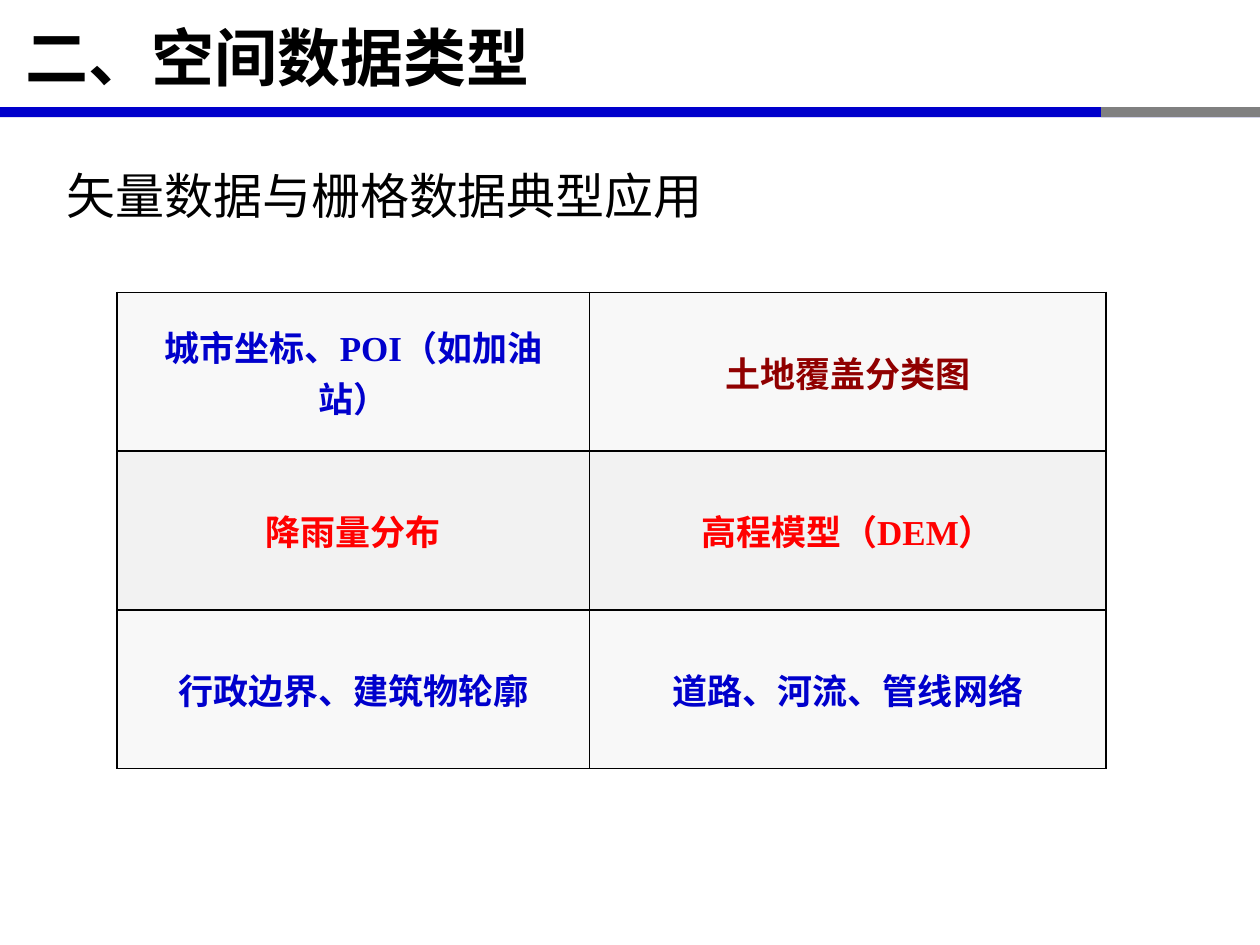
from lxml.etree import SubElement
from pptx import Presentation
from pptx.dml.color import RGBColor
from pptx.enum.shapes import MSO_SHAPE
from pptx.enum.text import MSO_ANCHOR, PP_ALIGN
from pptx.oxml.ns import qn
from pptx.util import Inches, Pt

COLORS = {
    "black": "000000",
    "blue": "0000CC",
    "gray": "808080",
    "red": "FF0000",
    "maroon": "900000",
    "light": "F8F8F8",
    "band": "F2F2F2",
}
CHINESE_FONT = "Noto Sans CJK SC"
LATIN_FONT = "Times New Roman"
APPLICATIONS = [
    [("城市坐标、POI（如加油站）", "blue"), ("土地覆盖分类图", "maroon")],
    [("降雨量分布", "red"), ("高程模型（DEM）", "red")],
    [("行政边界、建筑物轮廓", "blue"), ("道路、河流、管线网络", "blue")],
]


def color(name):
    return RGBColor.from_string(COLORS[name])


def write(text_frame, text, size, color_name, alignment, bold=False, latin=CHINESE_FONT):
    text_frame.text = text
    paragraph = text_frame.paragraphs[0]
    paragraph.alignment = alignment
    font = paragraph.runs[0].font
    font.size = Pt(size)
    font.bold = bold
    font.name = latin
    font.color.rgb = color(color_name)
    SubElement(font._element, qn("a:ea"), typeface=CHINESE_FONT)
    return paragraph


def place(shape, left, top, width, height):
    shape.left, shape.top = Inches(left), Inches(top)
    shape.width, shape.height = Inches(width), Inches(height)


def add_header(slide, left, top, width, height):
    gray_width = 1.26
    bar_height = 0.08
    bar_top = top + height - bar_height
    bars = [(left, width, "blue"), (left + width - gray_width, gray_width, "gray")]
    for bar_left, bar_width, color_name in bars:
        bar = slide.shapes.add_shape(
            MSO_SHAPE.RECTANGLE,
            Inches(bar_left), Inches(bar_top), Inches(bar_width), Inches(bar_height),
        )
        bar.shadow.inherit = False
        bar.fill.solid()
        bar.fill.fore_color.rgb = color(color_name)
        bar.line.fill.background()

    title = slide.shapes.title
    place(title, left, top, width - 0.14, height - 0.05)
    title.text_frame.vertical_anchor = MSO_ANCHOR.MIDDLE
    title.text_frame.margin_left = Inches(0.2)
    write(title.text_frame, "二、空间数据类型", 36, "black", PP_ALIGN.LEFT, bold=True)


def add_subtitle(slide, left, top, width, height):
    box = slide.shapes.add_textbox(
        Inches(left), Inches(top), Inches(width), Inches(height)
    )
    box.text_frame.word_wrap = True
    paragraph = write(
        box.text_frame, "矢量数据与栅格数据典型应用", 28, "black", PP_ALIGN.JUSTIFY
    )
    paragraph.line_spacing = 1.5


def add_borders(cell):
    properties = cell._tc.get_or_add_tcPr()
    for index, side in enumerate(("a:lnL", "a:lnR", "a:lnT", "a:lnB")):
        line = properties.makeelement(qn(side), {"w": str(Pt(1))})
        fill = SubElement(line, qn("a:solidFill"))
        SubElement(fill, qn("a:srgbClr"), val=COLORS["black"])
        properties.insert(index, line)


def add_applications_table(slide, left, top, width, height):
    first_width = 3.75
    table = slide.shapes.add_table(
        len(APPLICATIONS), 2, Inches(left), Inches(top), Inches(width), Inches(height)
    ).table
    table.columns[0].width = Inches(first_width)
    table.columns[1].width = Inches(width - first_width)
    for row, entries in enumerate(APPLICATIONS):
        for column, (text, color_name) in enumerate(entries):
            cell = table.cell(row, column)
            cell.vertical_anchor = MSO_ANCHOR.MIDDLE
            cell.fill.solid()
            cell.fill.fore_color.rgb = color("band" if row % 2 else "light")
            write(
                cell.text_frame, text, 20, color_name, PP_ALIGN.CENTER,
                bold=True, latin=LATIN_FONT,
            )
            add_borders(cell)


def main():
    presentation = Presentation()
    presentation.slide_width = Inches(10)
    presentation.slide_height = Inches(7.5)
    slide = presentation.slides.add_slide(presentation.slide_layouts[5])
    add_header(slide, 0, 0.01, 10, 0.92)
    add_subtitle(slide, 0.43, 1.03, 9.14, 0.72)
    add_applications_table(slide, 0.93, 2.32, 7.85, 3.78)
    presentation.save("out.pptx")


if __name__ == "__main__":
    main()
